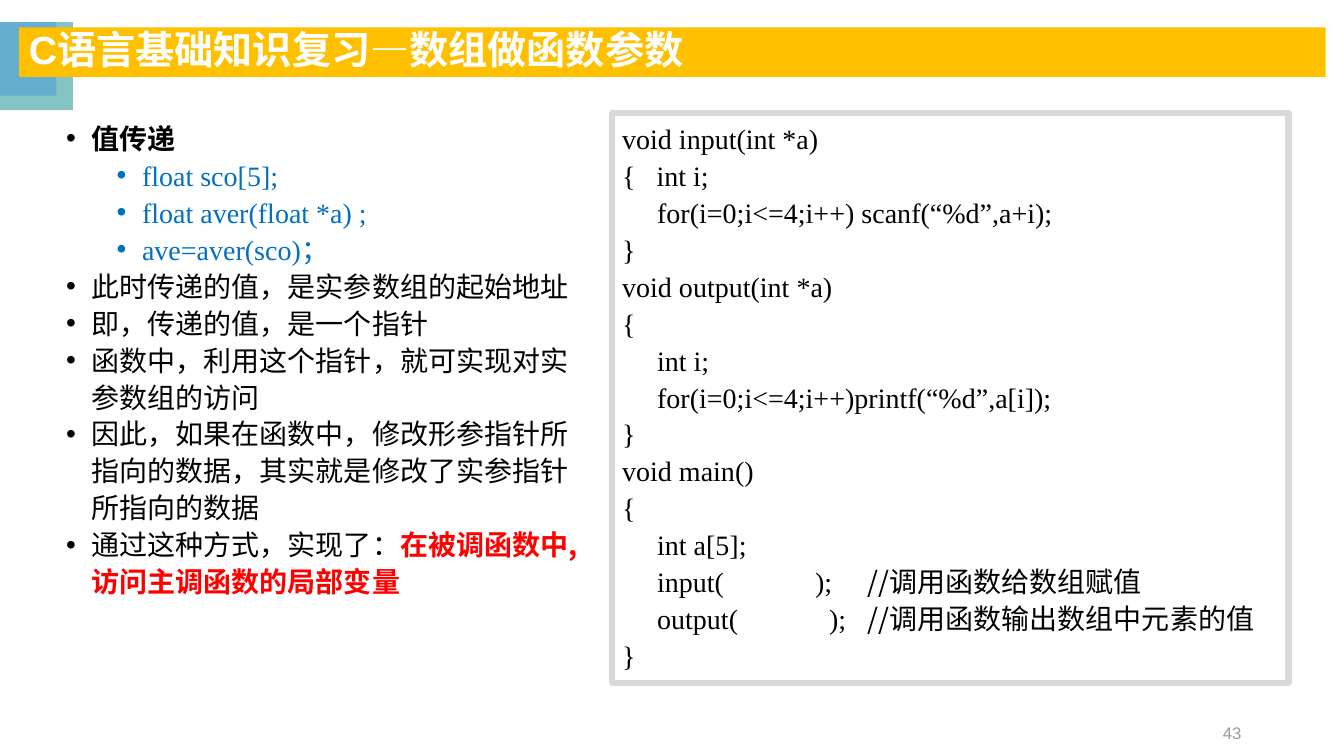
from dataclasses import dataclass

from lxml.etree import SubElement
from pptx import Presentation
from pptx.dml.color import RGBColor
from pptx.enum.shapes import MSO_SHAPE
from pptx.enum.text import MSO_ANCHOR, PP_ALIGN
from pptx.oxml.ns import qn
from pptx.shapes.autoshape import Shape
from pptx.slide import Slide
from pptx.text.text import Font, TextFrame
from pptx.util import Cm, Pt

LATIN = "Times New Roman"
CHINESE = "Noto Sans CJK SC"
BLACK, BLUE, RED, WHITE = "000000", "0070C0", "FF0000", "FFFFFF"


@dataclass(frozen=True)
class Area:
    left: float
    top: float
    width: float
    height: float

    def lengths(self) -> tuple[Cm, Cm, Cm, Cm]:
        return Cm(self.left), Cm(self.top), Cm(self.width), Cm(self.height)


@dataclass(frozen=True)
class Span:
    text: str
    face: str = LATIN
    color: str = BLACK
    bold: bool = False


@dataclass(frozen=True)
class Line:
    spans: tuple[Span, ...]
    level: int = 0


def line(text: str, color: str = BLACK, bold: bool = False, level: int = 0) -> Line:
    return Line((Span(text, LATIN, color, bold),), level)


POINTS = (
    line("值传递", bold=True),
    line("float sco[5];", BLUE, level=1),
    line("float aver(float *a) ;", BLUE, level=1),
    line("ave=aver(sco)；", BLUE, level=1),
    line("此时传递的值，是实参数组的起始地址"),
    line("即，传递的值，是一个指针"),
    line("函数中，利用这个指针，就可实现对实参数组的访问"),
    line("因此，如果在函数中，修改形参指针所指向的数据，其实就是修改了实参指针所指向的数据"),
    Line((
        Span("通过这种方式，实现了："),
        Span("在被调函数中,访问主调函数的局部变量", CHINESE, RED, True),
    )),
)

CODE = (
    line("void input(int *a)"),
    line("{   int i;"),
    line("     for(i=0;i<=4;i++) scanf(“%d”,a+i);"),
    line("}"),
    line("void output(int *a)"),
    line("{"),
    line("     int i;"),
    line("     for(i=0;i<=4;i++)printf(“%d”,a[i]);"),
    line("}"),
    line("void main()"),
    line("{"),
    line("     int a[5];"),
    Line((Span("     input(             );     "), Span("//调用函数给数组赋值", CHINESE))),
    Line((Span("     output(             );   "), Span("//调用函数输出数组中元素的值", CHINESE))),
    line("}"),
)


def rgb(color: str) -> RGBColor:
    return RGBColor.from_string(color)


def style(font: Font, span: Span, size: float) -> None:
    font.name = span.face
    font.size = Pt(size)
    font.bold = span.bold
    font.color.rgb = rgb(span.color)


def add_rectangle(slide: Slide, area: Area, fill: str | None) -> Shape:
    rectangle = slide.shapes.add_shape(MSO_SHAPE.RECTANGLE, *area.lengths())
    rectangle.shadow.inherit = False
    rectangle.line.fill.background()
    if fill:
        rectangle.fill.solid()
        rectangle.fill.fore_color.rgb = rgb(fill)
    else:
        rectangle.fill.background()
    return rectangle


def write_label(frame: TextFrame, span: Span, size: float, align: PP_ALIGN) -> None:
    frame.word_wrap = True
    frame.vertical_anchor = MSO_ANCHOR.MIDDLE
    paragraph = frame.paragraphs[0]
    paragraph.alignment = align
    paragraph.line_spacing = 0.9
    paragraph.add_run().text = span.text
    style(paragraph.font, span, size)


def write_lines(frame: TextFrame, lines: tuple[Line, ...], bulleted: bool) -> None:
    frame.word_wrap = True
    frame.vertical_anchor = MSO_ANCHOR.TOP
    for index, entry in enumerate(lines):
        paragraph = frame.add_paragraph() if index else frame.paragraphs[0]
        paragraph.alignment = PP_ALIGN.LEFT
        paragraph.line_spacing = 1.1
        paragraph.level = entry.level
        if bulleted:
            properties = paragraph._p.get_or_add_pPr()
            properties.set("marL", str(Cm(0.64 + 1.27 * entry.level)))
            properties.set("indent", str(-Cm(0.64)))
            SubElement(properties, qn("a:buFont"), typeface="Arial")
            SubElement(properties, qn("a:buChar"), char="•")
        style(paragraph.font, entry.spans[0], 20)
        for span in entry.spans:
            run = paragraph.add_run()
            run.text = span.text
            if len(entry.spans) > 1:
                style(run.font, span, 20)


def main() -> None:
    presentation = Presentation()
    presentation.slide_width = Cm(33.87)
    presentation.slide_height = Cm(19.05)
    slide = presentation.slides.add_slide(presentation.slide_layouts[6])

    add_rectangle(slide, Area(0, 0.56, 1.84, 2.22), "84C4C3")
    add_rectangle(slide, Area(0, 0.56, 1.42, 1.85), "65AECF")

    page_number = slide.shapes.add_textbox(*Area(23.92, 18, 7.62, 1.01).lengths())
    write_label(page_number.text_frame, Span("43", "Arial", "9B9B9B"), 12, PP_ALIGN.RIGHT)

    title = add_rectangle(slide, Area(0.48, 0.69, 32.93, 1.25), "FFC000")
    heading = Span("C语言基础知识复习—数组做函数参数", "Arial", WHITE, True)
    write_label(title.text_frame, heading, 28, PP_ALIGN.LEFT)

    points = slide.shapes.add_textbox(*Area(1.42, 2.85, 13.29, 12.37).lengths())
    write_lines(points.text_frame, POINTS, bulleted=True)

    code = add_rectangle(slide, Area(15.43, 2.85, 17.04, 14.36), None)
    code.line.color.rgb = rgb("D9D9D9")
    code.line.width = Pt(4.5)
    write_lines(code.text_frame, CODE, bulleted=False)

    presentation.save("out.pptx")


if __name__ == "__main__":
    main()
